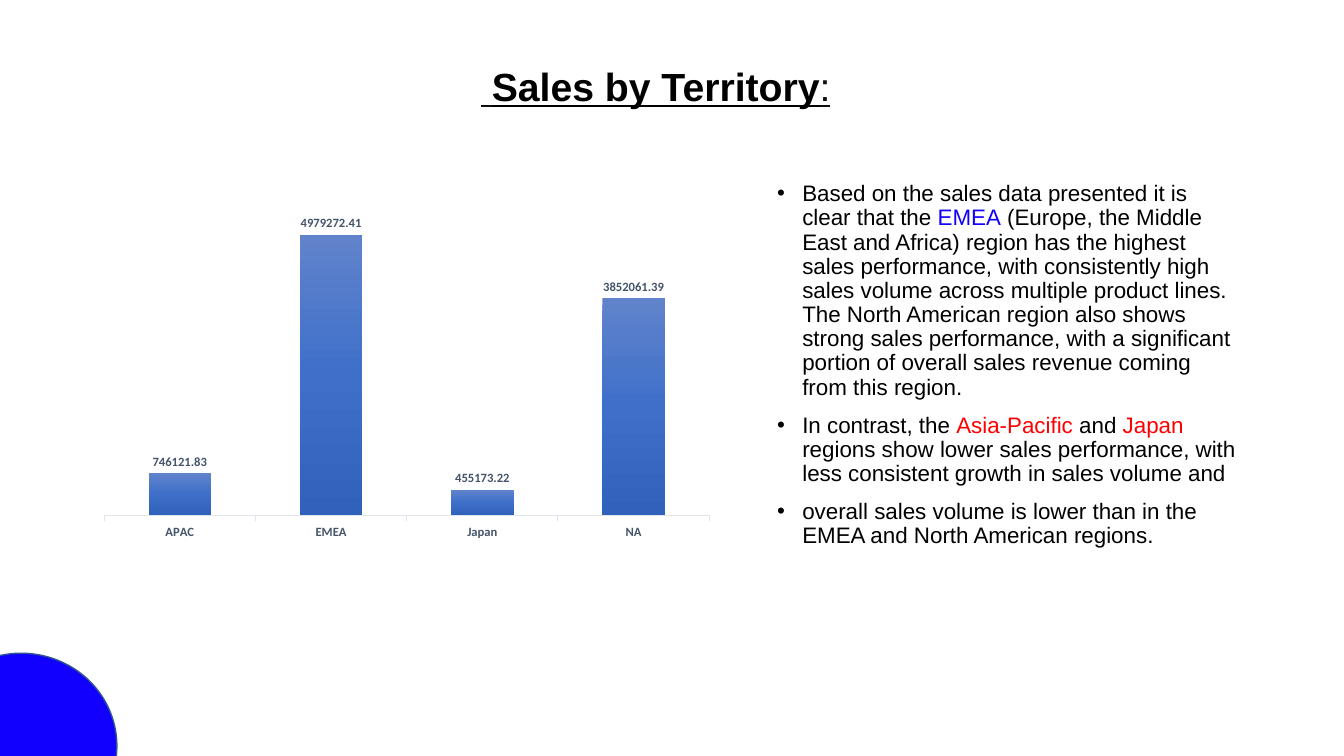
from copy import deepcopy
from dataclasses import dataclass

from lxml.etree import SubElement
from pptx import Presentation
from pptx.chart.data import CategoryChartData
from pptx.dml.color import RGBColor as RGB
from pptx.enum.chart import XL_CHART_TYPE, XL_LABEL_POSITION, XL_TICK_LABEL_POSITION, XL_TICK_MARK
from pptx.enum.shapes import MSO_SHAPE
from pptx.enum.text import MSO_ANCHOR, MSO_AUTO_SIZE, PP_ALIGN
from pptx.oxml.ns import qn
from pptx.util import Pt


@dataclass(frozen=True)
class Theme:
    """Colours, fonts and type sizes of the slide."""
    ink: RGB = RGB.from_string("000000")
    soft_ink: RGB = RGB.from_string("0D0D0D")
    blue: RGB = RGB.from_string("1200FE")
    red: RGB = RGB.from_string("FF0000")
    outline: RGB = RGB.from_string("325491")
    label: RGB = RGB.from_string("44546A")
    axis: RGB = RGB.from_string("E0E5EB")
    bar: tuple = ((0, "6183CB"), (0.5, "3E70CA"), (1, "3062BB"))
    font: str = "Arial"
    chart_font: str = "Calibri"
    title_size: int = 28
    body_size: int = 16
    chart_size: int = 10
    label_size: int = 9


T = Theme()

SALES = {"APAC": 746121.83, "EMEA": 4979272.41, "Japan": 455173.22, "NA": 3852061.39}

FINDINGS = [
    [("Based on the sales data presented it is clear that the ", T.ink),
     ("EMEA", T.blue),
     (" (Europe, the Middle East and Africa) region has the highest sales performance, "
      "with consistently high sales volume across multiple product lines. The North American "
      "region also shows strong sales performance, with a significant portion of overall "
      "sales revenue coming from this region.", T.ink)],
    [("In contrast, the ", T.ink),
     ("Asia-Pacific", T.red),
     (" and ", T.ink),
     ("Japan ", T.red),
     ("regions show lower sales performance, with less consistent growth in sales volume and",
      T.ink)],
    [("overall sales volume is lower than in the EMEA and North American regions.", T.ink)],
]


def set_font(font, name, size, color, bold=False):
    """Format one font."""
    font.name, font.size, font.bold = name, Pt(size), bold
    font.color.rgb = color


def add_run(p, text, size, color, bold=False):
    """Append a formatted run and return it."""
    r = p.add_run()
    r.text = text
    set_font(r.font, T.font, size, color, bold)
    return r


def add_bullet(p, indent):
    """Give a paragraph a hanging round bullet."""
    pPr = p._p.get_or_add_pPr()
    pPr.set("marL", str(Pt(indent)))
    pPr.set("indent", str(-Pt(indent)))
    SubElement(pPr, qn("a:buFont"), typeface=T.font)
    SubElement(pPr, qn("a:buChar"), char="•")


def place_title(s, x, y, w, h):
    """Move and fill the title placeholder."""
    sp = s.shapes.title
    sp.left, sp.top, sp.width, sp.height = Pt(x), Pt(y), Pt(w), Pt(h)
    tf = sp.text_frame
    tf.auto_size, tf.vertical_anchor = MSO_AUTO_SIZE.NONE, MSO_ANCHOR.MIDDLE
    p = tf.paragraphs[0]
    p.alignment, p.line_spacing = PP_ALIGN.CENTER, 0.9
    for text, color, bold in ((" ", T.soft_ink, False),
                              ("Sales by Territory", T.ink, True),
                              (":", T.soft_ink, False)):
        add_run(p, text, T.title_size, color, bold).font.underline = True


def add_findings(s, x, y, w, h):
    """Add the bulleted findings."""
    tf = s.shapes.add_textbox(Pt(x), Pt(y), Pt(w), Pt(h)).text_frame
    tf.word_wrap = True
    for i, parts in enumerate(FINDINGS):
        p = tf.add_paragraph() if i else tf.paragraphs[0]
        add_bullet(p, 18)
        p.line_spacing = 0.9
        if i:
            p.space_before = Pt(10)
        for text, color in parts:
            add_run(p, text, T.body_size, color)


def add_corner_circle(s, x, y, w, h):
    """Add the circle cut by the slide corner."""
    sp = s.shapes.add_shape(MSO_SHAPE.OVAL, Pt(x), Pt(y), Pt(w), Pt(h))
    sp.shadow.inherit = False
    sp.fill.solid()
    sp.fill.fore_color.rgb = T.blue
    sp.line.color.rgb, sp.line.width = T.outline, Pt(1)


def fill_bars(series):
    """Fill the bars with the vertical theme gradient."""
    fill = series.format.fill
    fill.gradient()
    fill.gradient_angle = 270
    stops = next(series._element.iter(qn("a:gsLst")))
    stops.insert(1, deepcopy(stops[0]))
    for stop, (position, color) in zip(fill.gradient_stops, T.bar):
        stop.position, stop.color.rgb = position, RGB.from_string(color)


def set_plot_area(chart, **box):
    """Fix the inner plot area as fractions of the chart."""
    area = chart._chartSpace.chart.plotArea
    for old in area.findall(qn("c:layout")):
        area.remove(old)
    layout = SubElement(area, qn("c:layout"))
    area.insert(0, layout)
    manual = SubElement(layout, qn("c:manualLayout"))
    SubElement(manual, qn("c:layoutTarget"), val="inner")
    for side in "xy":
        SubElement(manual, qn(f"c:{side}Mode"), val="edge")
    for side in "xywh":
        SubElement(manual, qn(f"c:{side}"), val=str(box[side]))


def add_sales_chart(s, x, y, w, h):
    """Add the column chart of sales by territory."""
    data = CategoryChartData()
    data.categories = list(SALES)
    data.add_series("Series 1", list(SALES.values()))
    chart = s.shapes.add_chart(XL_CHART_TYPE.COLUMN_CLUSTERED,
                               Pt(x), Pt(y), Pt(w), Pt(h), data).chart
    chart.has_legend = chart.has_title = False
    set_font(chart.font, T.chart_font, T.chart_size, T.ink)
    set_plot_area(chart, x=0.04, y=0, w=0.95, h=0.84)

    plot = chart.plots[0]
    plot.vary_by_categories, plot.gap_width, plot.overlap = False, 142, -24
    fill_bars(plot.series[0])
    plot.has_data_labels = True
    labels = plot.data_labels
    labels.show_value, labels.position = True, XL_LABEL_POSITION.OUTSIDE_END
    set_font(labels.font, T.chart_font, T.label_size, T.label, True)

    values = chart.value_axis
    values.visible = values.has_major_gridlines = False
    values.minimum_scale, values.maximum_scale = 0, 6000000
    regions = chart.category_axis
    regions.major_tick_mark = XL_TICK_MARK.OUTSIDE
    regions.tick_label_position = XL_TICK_LABEL_POSITION.LOW
    regions.format.line.color.rgb, regions.format.line.width = T.axis, Pt(0.75)
    set_font(regions.tick_labels.font, T.chart_font, T.label_size, T.label, True)


def main():
    """Build and save the slide."""
    prs = Presentation()
    prs.slide_width, prs.slide_height = Pt(960), Pt(540)
    s = prs.slides.add_slide(prs.slide_layouts[5])
    place_title(s, 61.2, -13, 814.3, 153.4)
    add_findings(s, 548, 126.7, 345, 418.3)
    add_corner_circle(s, -53.3, 466.6, 136.8, 132.5)
    add_sales_chart(s, 56.2, 126.7, 455, 287.3)
    prs.save("out.pptx")


if __name__ == "__main__":
    main()
